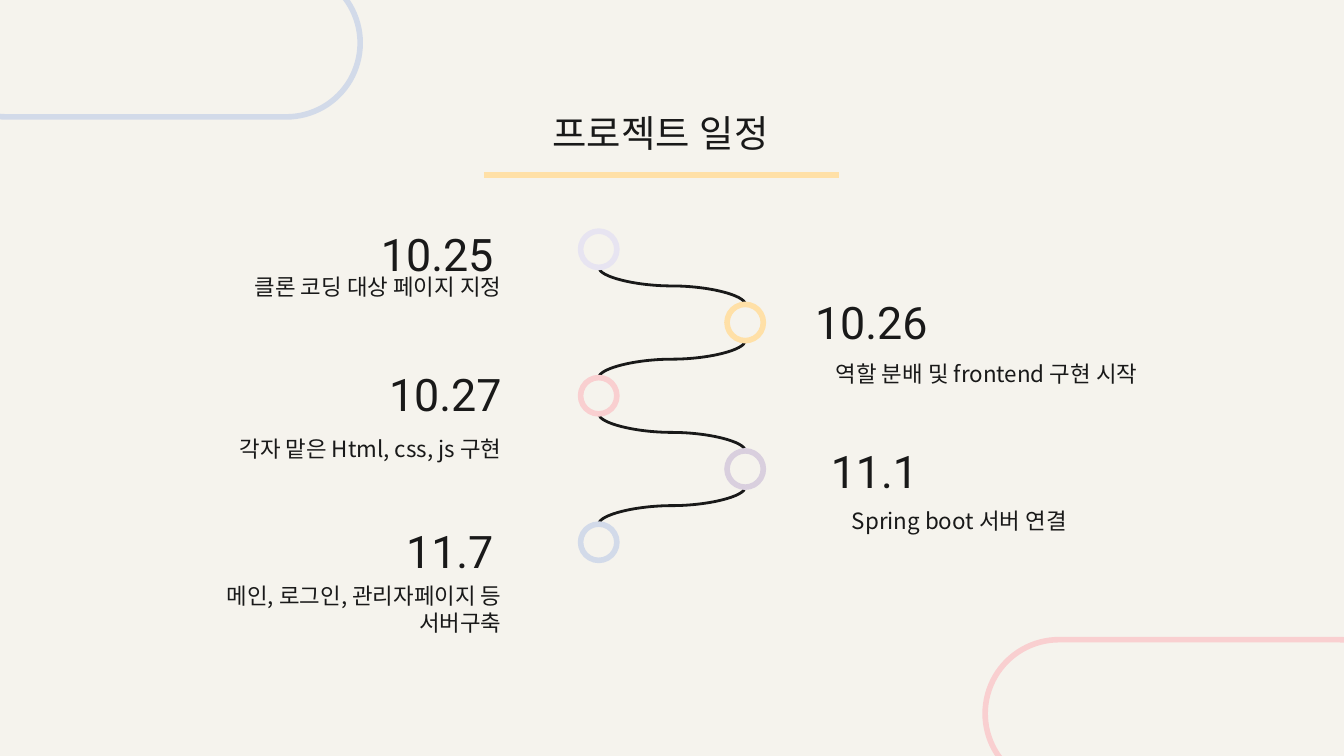
"""Build a project schedule slide with a zigzag timeline of five dates."""
from lxml import etree
from pptx import Presentation, util as u
from pptx.dml.color import RGBColor
from pptx.enum import shapes, text
from pptx.oxml import ns

TITLE = "프로젝트 일정"
EVENTS = [
    dict(date="10.25", note="클론 코딩 대상 페이지 지정", color="lilac",
         date_at=(1.43, 1.62), note_at=(1.11, 1.93), note_w=2.72),
    dict(date="10.26", note="역할 분배 및 frontend 구현 시작", color="yellow",
         date_at=(4.66, 2.12), note_at=(6.12, 2.58), note_w=2.96),
    dict(date="10.27", note="각자 맡은 Html, css, js 구현", color="pink",
         date_at=(1.49, 2.66), note_at=(1.11, 3.14), note_w=2.72),
    dict(date="11.1", note="Spring boot 서버 연결", color="mauve",
         date_at=(4.59, 3.23), note_at=(6.24, 3.67), note_w=2.72),
    dict(date="11.7", note="메인, 로그인, 관리자페이지 등 서버구축", color="blue",
         date_at=(1.43, 3.83), note_at=(1.11, 4.23), note_w=2.72),
]
CORNERS = [(-0.5, -0.23, "blue"), (7.33, 4.76, "pink")]

THEME = dict(
    colors=dict(paper="F5F3ED", ink="191919", blue="D2DAE9", pink="F9CFD0",
                lilac="E7E4F1", yellow="FFE0A7", mauve="D9CFDE"),
    title=dict(font="Montserrat", size=20),
    date=dict(font="Roboto", size=24),
    note=dict(font="Noto Sans CJK KR", size=12),
    thick=3, thin=1.5,
)
WIDTH = 10
HEIGHT = WIDTH * 9 / 16
RING = 0.27
COLUMNS = (4.32, 5.41)
FIRST_ROW, LAST_ROW = 1.72, 3.9
ROW_STEP = (LAST_ROW - FIRST_ROW) / (len(EVENTS) - 1)
LEFT, CENTER, RIGHT = text.PP_ALIGN.LEFT, text.PP_ALIGN.CENTER, text.PP_ALIGN.RIGHT


def rgb(name):
    return RGBColor.from_string(THEME["colors"][name])


def inches(*values):
    return [u.Inches(v) for v in values]


def add_outline(s, kind, box, color, fill=None):
    sp = s.shapes.add_shape(kind, *inches(*box))
    sp.shadow.inherit = False
    if fill:
        sp.fill.solid()
        sp.fill.fore_color.rgb = rgb(fill)
    else:
        sp.fill.background()
    sp.line.color.rgb = rgb(color)
    sp.line.width = u.Pt(THEME["thick"])
    return sp


def add_line(s, kind, ends, color, weight):
    c = s.shapes.add_connector(kind, *inches(*ends))
    c.line.color.rgb = rgb(color)
    c.line.width = u.Pt(weight)
    etree.SubElement(c._element.spPr, ns.qn("a:effectLst"))
    return c


def add_curve(s, start, end):
    (x1, y1), (x2, y2) = start, end
    mid_x, mid_y = (x1 + x2) / 2, (y1 + y2) / 2
    half_w, half_h = (y2 - y1) / 2, abs(x2 - x1) / 2
    ends = mid_x - half_w, mid_y - half_h, mid_x + half_w, mid_y + half_h
    c = add_line(s, shapes.MSO_CONNECTOR.CURVE, ends, "ink", THEME["thin"])
    xfrm = c._element.spPr.find(ns.qn("a:xfrm"))
    xfrm.set("rot", str((270 if x2 > x1 else 90) * 60000))
    if x2 > x1:
        xfrm.set("flipH", "1")


def add_text(s, words, box, style, align, anchor=text.MSO_ANCHOR.TOP):
    tf = s.shapes.add_textbox(*inches(*box)).text_frame
    tf.word_wrap = True
    tf.vertical_anchor = anchor
    tf.margin_left = tf.margin_right = tf.margin_top = tf.margin_bottom = u.Inches(0.1)
    p = tf.paragraphs[0]
    p.alignment = align
    r = p.add_run()
    r.text = words
    r.font.size = u.Pt(THEME[style]["size"])
    r.font.color.rgb = rgb("ink")
    r.font.name = THEME[style]["font"]
    etree.SubElement(r._r.get_or_add_rPr(), ns.qn("a:ea"), typeface=THEME[style]["font"])


def main():
    prs = Presentation()
    prs.slide_width, prs.slide_height = inches(WIDTH, HEIGHT)
    s = prs.slides.add_slide(prs.slide_layouts[6])
    s.background.fill.solid()
    s.background.fill.fore_color.rgb = rgb("paper")

    for x, y, color in CORNERS:
        sp = add_outline(s, shapes.MSO_SHAPE.ROUNDED_RECTANGLE, (x, y, 3.18, 1.1), color)
        sp.adjustments[0] = 0.5

    add_text(s, TITLE, (0.7, 0.72, 8.43, 0.63), "title", CENTER)
    add_line(s, shapes.MSO_CONNECTOR.STRAIGHT, (3.6, 1.3, 6.24, 1.3), "yellow", THEME["thick"])

    rings = [(COLUMNS[i % 2], FIRST_ROW + i * ROW_STEP) for i in range(len(EVENTS))]
    for (x1, y1), (x2, y2) in zip(rings, rings[1:]):
        add_curve(s, (x1 + RING / 2, y1 + RING), (x2 + RING / 2, y2))

    for i, (event, ring) in enumerate(zip(EVENTS, rings)):
        add_outline(s, shapes.MSO_SHAPE.OVAL, (*ring, RING, RING), event["color"], "paper")
        add_text(s, event["date"], (*event["date_at"], 2.34, 0.57), "date", RIGHT,
                 text.MSO_ANCHOR.BOTTOM)
        add_text(s, event["note"], (*event["note_at"], event["note_w"], 0.42), "note",
                 LEFT if i % 2 else RIGHT)

    prs.save("out.pptx")


if __name__ == "__main__":
    main()
